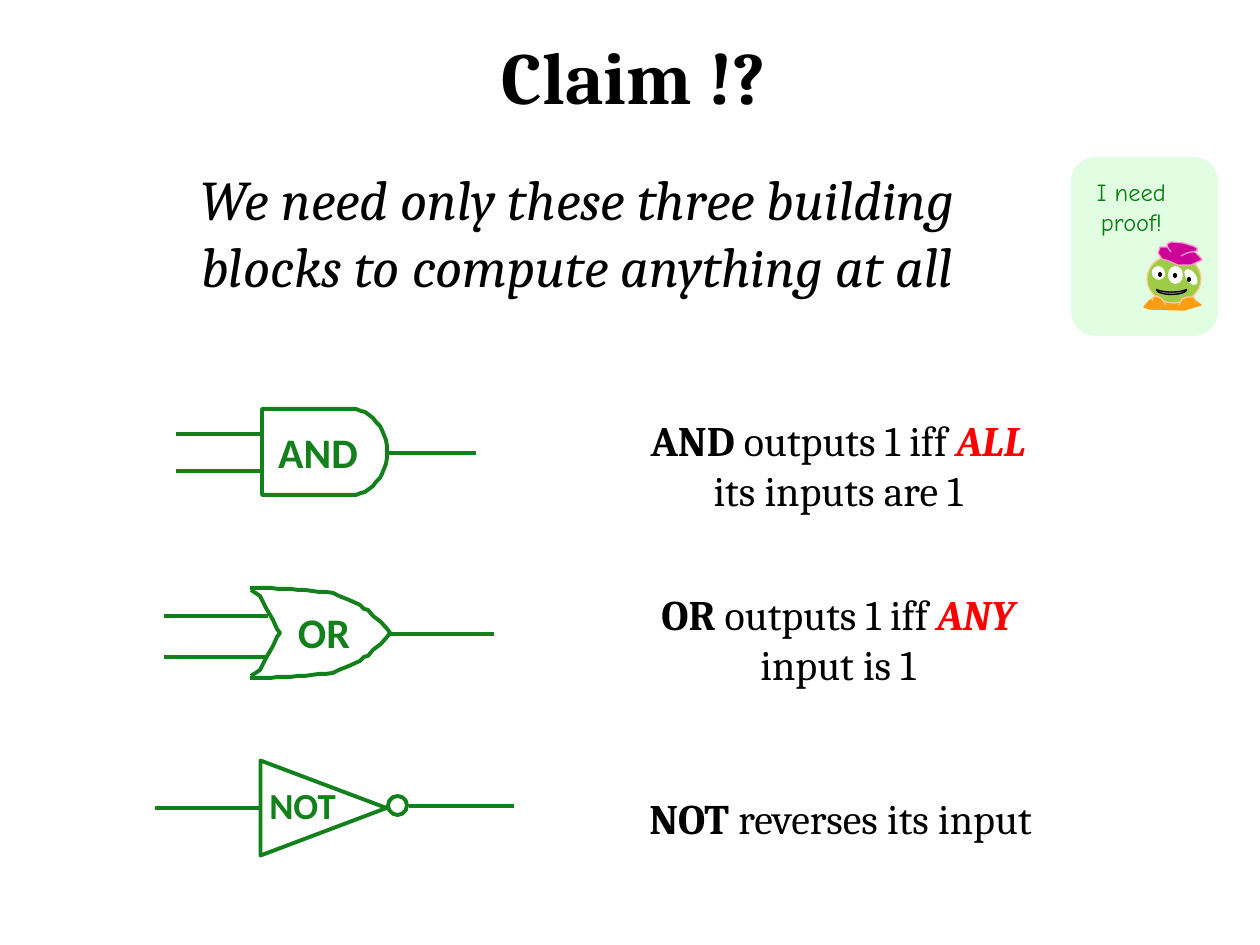
from dataclasses import dataclass

from lxml import etree
from pptx import Presentation
from pptx.dml.color import RGBColor
from pptx.enum.shapes import MSO_CONNECTOR, MSO_SHAPE
from pptx.enum.text import MSO_ANCHOR, MSO_AUTO_SIZE, PP_ALIGN
from pptx.oxml.ns import qn
from pptx.util import Emu, Pt

SCALE = 914400 / 126  # EMU per px
STRAIGHT = MSO_CONNECTOR.STRAIGHT
ELLIPSE, MOON = MSO_SHAPE.OVAL, MSO_SHAPE.MOON
TRIANGLE, CARD = MSO_SHAPE.ISOSCELES_TRIANGLE, MSO_SHAPE.ROUNDED_RECTANGLE
TOP, MIDDLE = MSO_ANCHOR.TOP, MSO_ANCHOR.MIDDLE
CENTER, NO_AUTOFIT = PP_ALIGN.CENTER, MSO_AUTO_SIZE.NONE


@dataclass(frozen=True)
class Theme:
    serif: str = "Cambria"
    sans: str = "Calibri"
    comic: str = "Comic Neue"
    ink: str = "000000"
    accent: str = "FF0000"
    gate: str = "13801C"
    card: str = "E2FEE2"
    speech: str = "067B0E"
    skin: str = "9ECC46"
    trim: str = "FFCC99"
    feet: str = "FD9D0F"
    hat: str = "CC0099"
    hat_edge: str = "FF99CC"
    eye: str = "FFFFFF"
    mouth: str = "808080"
    title_size: int = 42
    claim_size: int = 32
    text_size: int = 24
    small_gate_size: int = 21
    speech_size: int = 14
    gate_width: float = 2.25
    thin_width: float = 0.75


THEME = Theme()


def px(*lengths):
    return [Emu(round(length * SCALE)) for length in lengths]


def paint(shape, fill=None, line=None, width=THEME.thin_width):
    """Give a shape its fill and outline; None means neither."""
    shape.shadow.inherit = False
    if fill:
        shape.fill.solid()
        shape.fill.fore_color.rgb = RGBColor.from_string(fill)
    else:
        shape.fill.background()
    if line:
        shape.line.color.rgb = RGBColor.from_string(line)
        shape.line.width = Pt(width)
    else:
        shape.line.fill.background()


def add_preset(slide, kind, box, rotation=0, **style):
    shape = slide.shapes.add_shape(kind, *px(*box))
    shape.rotation = rotation
    paint(shape, **style)
    return shape


def add_outline(slide, points, close=False, **style):
    builder = slide.shapes.build_freeform(*points[0], scale=SCALE)
    builder.add_line_segments(points[1:], close=close)
    paint(builder.convert_to_shape(), **style)


def add_wire(slide, start_x, end_x, y):
    wire = slide.shapes.add_connector(STRAIGHT, *px(start_x, y, end_x, y))
    wire.line.color.rgb = RGBColor.from_string(THEME.gate)
    wire.line.width = Pt(THEME.gate_width)
    etree.SubElement(wire._element.spPr, qn("a:effectLst"))


def write_text(shape, runs, font=THEME.serif, size=THEME.text_size, color=THEME.ink,
               bold=False, italic=False, anchor=TOP, wrap=True):
    """Write one centred paragraph of (text, format overrides) runs."""
    frame = shape.text_frame
    frame.word_wrap = wrap
    frame.auto_size = NO_AUTOFIT
    frame.vertical_anchor = anchor
    paragraph = frame.paragraphs[0]
    paragraph.alignment = CENTER
    for text, changes in runs:
        run = paragraph.add_run()
        run.text = text
        run.font.name = font
        run.font.size = Pt(size)
        run.font.bold = changes.get("bold", bold)
        run.font.italic = changes.get("italic", italic)
        run.font.color.rgb = RGBColor.from_string(changes.get("color", color))


def add_text(slide, box, runs, **text_format):
    write_text(slide.shapes.add_textbox(*px(*box)), runs, **text_format)


def add_title(slide, text):
    title = slide.shapes.title
    title.left, title.top, title.width, title.height = px(135, 25, 998, 101)
    write_text(title, [(text, {})], size=THEME.title_size, bold=True, anchor=MIDDLE)


def add_gate_label(slide, box, name, size=THEME.text_size):
    add_text(slide, box, [(name, {})], font=THEME.sans, size=size,
             color=THEME.gate, bold=True, wrap=False)


def add_alien(slide):
    feet = [(1173, 294), (1193, 299), (1197, 302), (1201, 305), (1184, 310),
            (1149, 309), (1144, 307), (1149, 301), (1155, 297), (1163, 294)]
    add_outline(slide, feet, close=True, fill=THEME.feet, line=THEME.feet)
    add_preset(slide, ELLIPSE, (1147, 255, 54, 48), fill=THEME.skin, line=THEME.trim)

    # Eyes, then pupils
    for box, rotation in [((1152, 266, 13, 14), 327), ((1168, 266, 15, 18), 0),
                          ((1186, 268, 10, 18), 325)]:
        add_preset(slide, ELLIPSE, box, rotation, fill=THEME.eye)
    for left, top in [(1158, 272), (1173, 273), (1187, 277)]:
        add_preset(slide, ELLIPSE, (left, top, 4, 5), fill=THEME.ink)
    add_preset(slide, MOON, (1169, 277, 5, 30), 270, fill=THEME.mouth, line=THEME.ink)

    # Hat brim and crown
    brim = [(1172, 247), (1160, 247), (1158, 253), (1162, 259), (1169, 261),
            (1178, 265), (1191, 265), (1202, 260), (1201, 258), (1196, 253)]
    crown = [(1171, 252), (1168, 248), (1167, 244), (1171, 242), (1183, 243),
             (1193, 246), (1197, 248), (1197, 251), (1187, 253), (1181, 256)]
    for points in (brim, crown):
        add_outline(slide, points, fill=THEME.hat, line=THEME.hat_edge)

    # Toes
    for points in ([(1152, 301), (1153, 297), (1157, 296), (1162, 299), (1166, 305)],
                   [(1196, 301), (1194, 297), (1187, 297), (1182, 299), (1179, 305)]):
        add_outline(slide, points, fill=THEME.feet, line=THEME.trim)


def cubic(start, control_1, control_2, end, steps=12):
    """Points along a Bezier curve."""
    points = []
    for step in range(steps + 1):
        t = step / steps
        weights = ((1 - t) ** 3, 3 * t * (1 - t) ** 2, 3 * t * t * (1 - t), t ** 3)
        points.append(tuple(
            round(sum(weight * value for weight, value in zip(weights, values)), 2)
            for values in zip(start, control_1, control_2, end)))
    return points


def mirror_down(points, axis):
    """Extend a path with its reflection below a horizontal axis."""
    return points + [(x, 2 * axis - y) for x, y in reversed(points)]


def add_gates(slide):
    stroke = {"line": THEME.gate, "width": THEME.gate_width}

    # AND
    shoulder = cubic((351, 409), (371, 409), (387, 428), (387, 452))
    add_outline(slide, mirror_down([(262, 409)] + shoulder, 452), close=True, **stroke)
    add_gate_label(slide, (265, 420, 106, 64), "AND")

    # OR
    front = cubic((250, 588), (278, 588), (304, 590), (333, 593)) + [
        (339, 596), (349, 600), (360, 605), (364, 609), (368, 610),
        (373, 616), (381, 622), (388, 630), (390, 633)]
    back = [(251, 590), (260, 596), (266, 608), (273, 620), (277, 629), (280, 633)]
    for edge in (front, back):
        add_outline(slide, mirror_down(edge, 633), **stroke)
    add_gate_label(slide, (285, 600, 78, 64), "OR")

    # NOT
    add_preset(slide, TRIANGLE, (276, 745, 95, 126), 90, **stroke)
    add_preset(slide, ELLIPSE, (388, 796, 19, 19), **stroke)
    add_gate_label(slide, (256, 777, 93, 57), "NOT", THEME.small_gate_size)

    # Inputs and outputs
    for wire in [(176, 260, 434), (176, 260, 471), (387, 476, 453),
                 (164, 268, 616), (164, 268, 657), (389, 494, 634),
                 (155, 261, 808), (409, 514, 806)]:
        add_wire(slide, *wire)


def add_rules(slide):
    bold = {"bold": True}
    stress = {"bold": True, "italic": True, "color": THEME.accent}
    for top, gate, amount, ending in [(408, "AND", "ALL", " its inputs are 1"),
                                      (582, "OR", "ANY ", "input is 1")]:
        add_text(slide, (615, top, 446, 115),
                 [(gate, bold), (" outputs 1 iff ", {}), (amount, stress), (ending, {})])
    add_text(slide, (599, 786, 483, 64), [("NOT", bold), (" reverses its input", {})])


def main():
    presentation = Presentation()
    presentation.slide_width, presentation.slide_height = px(1260, 945)
    slide = presentation.slides.add_slide(presentation.slide_layouts[5])

    add_title(slide, "Claim !?")
    add_preset(slide, CARD, (1071, 157, 147, 179), fill=THEME.card)
    add_alien(slide)
    add_text(slide, (1075, 171, 113, 72), [("I need proof!", {})], font=THEME.comic,
             size=THEME.speech_size, color=THEME.speech)
    claim = "We need only these three building blocks to compute anything at all"
    add_text(slide, (157, 157, 841, 149), [(claim, {})], size=THEME.claim_size,
             italic=True, anchor=MIDDLE)
    add_gates(slide)
    add_rules(slide)
    presentation.save("out.pptx")


if __name__ == "__main__":
    main()
